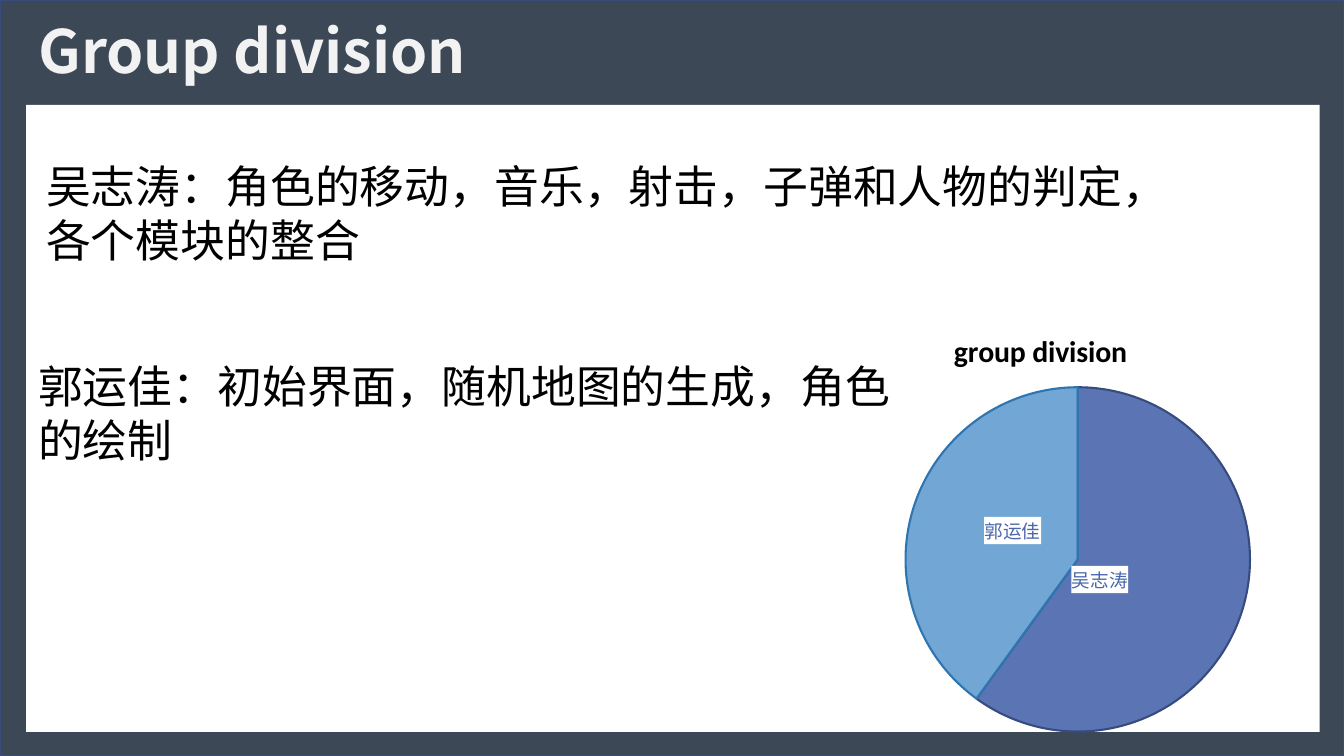
from dataclasses import dataclass

from pptx import Presentation
from pptx.chart.data import CategoryChartData
from pptx.dml.color import RGBColor as RGB
from pptx.enum.chart import XL_CHART_TYPE as CT, XL_LABEL_POSITION as LP
from pptx.enum.shapes import MSO_SHAPE as SHAPE
from pptx.enum.text import MSO_ANCHOR as ANCHOR, MSO_AUTO_SIZE as AUTO, PP_ALIGN as ALIGN
from pptx.oxml import parse_xml
from pptx.oxml.ns import nsdecls, qn
from pptx.util import Inches, Pt


@dataclass(frozen=True)
class Theme:
    """Colours, fonts and type sizes of the slide."""
    frame: str = "3C4856"
    frame_line: str = "374B7F"
    panel: str = "FFFFFF"
    title: str = "F2F2F2"
    text: str = "000000"
    label: str = "4A66AC"
    slices: tuple = (("4A66AC", "374B7F"), ("629DD1", "2F75B0"))
    title_font: str = "Noto Sans CJK SC"
    body_font: str = "Calibri"
    title_size: float = 42.6
    body_size: float = 32
    chart_title_size: float = 21.3
    label_size: float = 13.3
    chart_size: float = 10


T = Theme()
MEMBERS = (
    ("吴志涛", 60, "角色的移动，音乐，射击，子弹和人物的判定，各个模块的整合", (-0.15, -0.04)),
    ("郭运佳", 40, "初始界面，随机地图的生成，角色的绘制", (0.09, 0.02)),
)


def set_font(font, color, **values):
    """Apply a colour and a dict of values to a font."""
    font.color.rgb = RGB.from_string(color)
    for name, value in values.items():
        setattr(font, name, value)


def add_rect(s, box, fill, line=None):
    """Add a flat rectangle in the box."""
    sp = s.shapes.add_shape(SHAPE.RECTANGLE, *map(Inches, box))
    sp.shadow.inherit = False
    sp.fill.solid()
    sp.fill.fore_color.rgb = RGB.from_string(fill)
    if line:
        sp.line.color.rgb = RGB.from_string(line)
        sp.line.width = Pt(1)
    else:
        sp.line.fill.background()


def add_title(s, box, text):
    """Place the title placeholder in the box, above the frame."""
    sp = s.shapes.title
    s.shapes.element.append(sp.element)
    sp.left, sp.top, sp.width, sp.height = map(Inches, box)
    tf = sp.text_frame
    tf.text = text
    tf.vertical_anchor, tf.auto_size = ANCHOR.MIDDLE, AUTO.NONE
    p = tf.paragraphs[0]
    p.alignment, p.line_spacing = ALIGN.LEFT, 0.9
    set_font(p.runs[0].font, T.title, name=T.title_font, size=Pt(T.title_size), bold=True)


def add_task(s, box, text):
    """Add a wrapped body paragraph in the box."""
    tf = s.shapes.add_textbox(*map(Inches, box)).text_frame
    tf.word_wrap, tf.auto_size = True, AUTO.SHAPE_TO_FIT_TEXT
    r = tf.paragraphs[0].add_run()
    r.text = text
    set_font(r.font, T.text, name=T.body_font, size=Pt(T.body_size))


def set_layout(parent, index, target="", **values):
    """Give a chart part a manual layout in fractions of the chart."""
    old = parent.find(qn("c:layout"))
    if old is not None:
        parent.remove(old)
    modes = {"xMode": "edge", "yMode": "edge"} if target != "offset" else {}
    inner = {"layoutTarget": "inner"} if target == "inner" else {}
    items = {**inner, **modes, **values}
    body = "".join(f'<c:{k} val="{v}"/>' for k, v in items.items())
    parent.insert(index, parse_xml(
        f'<c:layout {nsdecls("c")}><c:manualLayout>{body}</c:manualLayout></c:layout>'))


def style_slice(point, name, fill, line):
    """Colour one pie slice and write its label."""
    point.format.fill.solid()
    point.format.fill.fore_color.rgb = RGB.from_string(fill)
    point.format.line.color.rgb = RGB.from_string(line)
    point.format.line.width = Pt(1.5)
    label = point.data_label
    r = label.text_frame.paragraphs[0].add_run()
    r.text = name
    set_font(r.font, T.label, name=T.body_font, size=Pt(T.label_size))
    label.position = LP.INSIDE_END


def add_pie(s, box, title):
    """Add the pie of work shares in the box."""
    data = CategoryChartData()
    data.categories = [m[0] for m in MEMBERS]
    data.add_series("Series 1", [m[1] for m in MEMBERS])
    chart = s.shapes.add_chart(CT.PIE, *map(Inches, box), data).chart
    chart.has_legend = False
    set_font(chart.font, T.text, name=T.body_font, size=Pt(T.chart_size))

    chart.has_title = True
    r = chart.chart_title.text_frame.paragraphs[0].add_run()
    r.text = title
    set_font(r.font, T.text, name=T.body_font, size=Pt(T.chart_title_size), bold=True)

    plot = chart.plots[0]
    plot.vary_by_categories = True
    series = plot.series[0]
    labels = series.data_labels
    labels.show_value, labels.show_category_name = False, True
    labels.position = LP.INSIDE_END
    set_font(labels.font, T.label, name=T.body_font, size=Pt(T.label_size))
    for i, (member, colors) in enumerate(zip(MEMBERS, T.slices)):
        style_slice(series.points[i], member[0], *colors)

    root = chart.element
    set_layout(next(root.iter(qn("c:title"))), 1, x=0.32, y=0.05)
    set_layout(next(root.iter(qn("c:plotArea"))), 0, "inner", x=0.26, y=0.19, w=0.48, h=0.78)
    for color in root.iterfind(f'.//{qn("c:dPt")}/{qn("c:spPr")}/{qn("a:solidFill")}/{qn("a:srgbClr")}'):
        color.append(parse_xml(f'<a:alpha {nsdecls("a")} val="90000"/>'))
    for label, member in zip(root.iter(qn("c:dLbl")), MEMBERS):
        dx, dy = member[3]
        set_layout(label, 1, "offset", x=dx, y=dy)
        old = label.find(qn("c:spPr"))
        if old is not None:
            label.remove(old)
        label.find(qn("c:tx")).addnext(parse_xml(
            f'<c:spPr {nsdecls("c", "a")}><a:solidFill><a:srgbClr val="{T.panel}"/>'
            '</a:solidFill></c:spPr>'))


def build_slide(prs):
    """Build the group division slide."""
    s = prs.slides.add_slide(prs.slide_layouts[5])
    add_rect(s, (0, 0, 13.33, 7.5), T.frame, T.frame_line)
    add_rect(s, (0.26, 1.04, 12.83, 6.22), T.panel)
    add_title(s, (0.28, 0.04, 11.5, 1), "Group division")
    boxes = ((0.36, 1.53, 11.2, 1.48), (0.28, 3.51, 8.87, 1.48))
    for box, (name, _, task, _) in zip(boxes, MEMBERS):
        add_task(s, box, f"{name}：{task}")
    add_pie(s, (7.13, 3.01, 7.12, 4.38), "group division")


def main():
    """Create and save the presentation."""
    prs = Presentation()
    prs.slide_width, prs.slide_height = Inches(13.33), Inches(7.5)
    build_slide(prs)
    prs.save("out.pptx")


if __name__ == "__main__":
    main()
